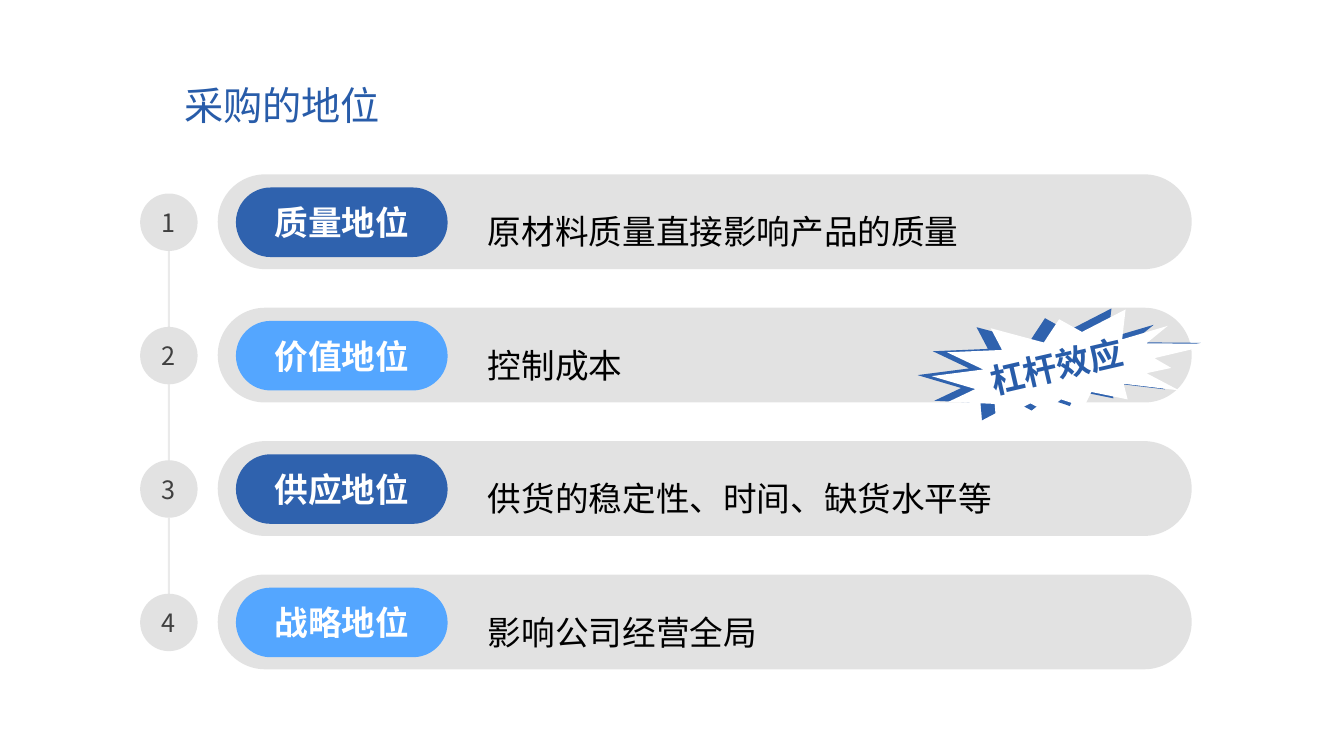
from dataclasses import dataclass

import pptx
import pptx.dml.color
import pptx.enum.shapes
import pptx.enum.text
import pptx.oxml.ns
import pptx.util
from lxml import etree

Inches = pptx.util.Inches
Shapes = pptx.enum.shapes.MSO_SHAPE
Align = pptx.enum.text.PP_ALIGN
qualified = pptx.oxml.ns.qn


@dataclass(frozen=True)
class Theme:
    font: str = "Noto Sans CJK JP"
    title_font: str = "Noto Sans CJK SC"
    accent: str = "285CA9"
    dark_blue: str = "2F62AE"
    light_blue: str = "54A6FF"
    gray: str = "404040"
    line: str = "999999"
    white: str = "FFFFFF"
    black: str = "000000"
    title_size: int = 28
    body_size: int = 24
    number_size: int = 18
    gray_opacity: int = 15
    line_opacity: int = 20


THEME = Theme()
ROWS = [
    ("质量地位", "原材料质量直接影响产品的质量"),
    ("价值地位", "控制成本"),
    ("供应地位", "供货的稳定性、时间、缺货水平等"),
    ("战略地位", "影响公司经营全局"),
]
FIRST_TOP, LAST_TOP = 1.73, 5.7
ROW_PITCH = (LAST_TOP - FIRST_TOP) / (len(ROWS) - 1)
CIRCLE_LEFT, CIRCLE_OFFSET, CIRCLE_SIZE = 1.39, 0.19, 0.57


def paint(fill, color, opacity=100):
    """Apply a solid colour; opacity is a percentage."""
    fill.solid()
    fill.fore_color.rgb = pptx.dml.color.RGBColor.from_string(color)
    if opacity < 100:
        color_element = fill._xPr.find(".//" + qualified("a:srgbClr"))
        alpha = etree.SubElement(color_element, qualified("a:alpha"))
        alpha.set("val", str(opacity * 1000))


def write_text(shape, text, size=THEME.body_size, color=THEME.black, font=THEME.font,
               bold=False, align=None, wrap=True, margin=None, level=0, spacing=None):
    frame = shape.text_frame
    frame.word_wrap = wrap
    frame.vertical_anchor = pptx.enum.text.MSO_ANCHOR.MIDDLE
    if margin is not None:
        frame.margin_left = frame.margin_right = Inches(margin)
        frame.margin_top = frame.margin_bottom = Inches(margin)
    paragraph = frame.paragraphs[0]
    paragraph.alignment = align
    if level:
        paragraph.level = level
        paragraph._p.get_or_add_pPr().set("marL", "0")
    if spacing:
        paragraph.line_spacing = spacing
    run = paragraph.add_run()
    run.text = text
    run.font.name = font
    run.font.size = pptx.util.Pt(size)
    run.font.bold = bold
    run.font.color.rgb = pptx.dml.color.RGBColor.from_string(color)
    east_asian = etree.SubElement(run._r.get_or_add_rPr(), qualified("a:ea"))
    east_asian.set("typeface", font)


class SlideBuilder:
    def __init__(self, slide, theme):
        self.slide = slide
        self.theme = theme

    def shape(self, kind, box, color, opacity=100, parent=None):
        shapes = (parent or self.slide).shapes
        shape = shapes.add_shape(kind, *map(Inches, box))
        shape.shadow.inherit = False
        shape.line.fill.background()
        paint(shape.fill, color, opacity)
        if kind == Shapes.ROUNDED_RECTANGLE:
            shape.adjustments[0] = 0.5
        return shape

    def text(self, box, text, parent=None, **text_format):
        shape = (parent or self.slide).shapes.add_textbox(*map(Inches, box))
        write_text(shape, text, **text_format)
        return shape

    def vertical_line(self, x, top, bottom):
        connector = self.slide.shapes.add_connector(
            pptx.enum.shapes.MSO_CONNECTOR.STRAIGHT,
            Inches(x), Inches(top), Inches(x), Inches(bottom))
        connector.line.width = pptx.util.Pt(1.5)
        paint(connector.line.fill, self.theme.line, self.theme.line_opacity)
        etree.SubElement(connector._element.spPr, qualified("a:effectLst"))

    def row(self, number, top, label, description):
        theme = self.theme
        pill_color = theme.dark_blue if number % 2 else theme.light_blue
        self.shape(Shapes.ROUNDED_RECTANGLE, (2.16, top, 9.66, 0.94),
                   theme.gray, theme.gray_opacity)
        pill = self.shape(Shapes.ROUNDED_RECTANGLE, (2.34, top + 0.13, 2.1, 0.69), pill_color)
        write_text(pill, label, color=theme.white, bold=True, align=Align.CENTER, margin=0)
        self.text((4.84, top + 0.04, 6.27, 0.85), description,
                  margin=0, level=1, spacing=1.5)
        circle = self.shape(Shapes.OVAL,
                            (CIRCLE_LEFT, top + CIRCLE_OFFSET, CIRCLE_SIZE, CIRCLE_SIZE),
                            theme.gray, theme.gray_opacity)
        write_text(circle, str(number), size=theme.number_size, color=theme.gray,
                   align=Align.CENTER, wrap=False)

    def burst(self, text):
        """Group two offset seals under a tilted caption."""
        group = self.slide.shapes.add_group_shape()
        self.shape(Shapes.EXPLOSION2, (9.1, 3.06, 2.81, 1.11), self.theme.dark_blue, parent=group)
        self.shape(Shapes.EXPLOSION2, (9.24, 3.07, 2.81, 1.11), self.theme.white, parent=group)
        caption = self.text((9.26, 3.38, 2.44, 0.5), text, parent=group,
                            color=self.theme.accent, bold=True, align=Align.CENTER)
        caption.rotation = 347
        caption.text_frame.auto_size = pptx.enum.text.MSO_AUTO_SIZE.SHAPE_TO_FIT_TEXT


def main():
    presentation = pptx.Presentation()
    presentation.slide_width = Inches(13.33)
    presentation.slide_height = Inches(7.5)
    slide = presentation.slides.add_slide(presentation.slide_layouts[6])
    paint(slide.background.fill, THEME.white)
    builder = SlideBuilder(slide, THEME)

    builder.text((1.73, 0.72, 4.68, 0.64), "采购的地位", size=THEME.title_size,
                 color=THEME.accent, font=THEME.title_font)
    for index, (label, description) in enumerate(ROWS):
        top = FIRST_TOP + index * ROW_PITCH
        builder.row(index + 1, top, label, description)
        if index < len(ROWS) - 1:
            circle_top = top + CIRCLE_OFFSET
            builder.vertical_line(CIRCLE_LEFT + CIRCLE_SIZE / 2,
                                  circle_top + CIRCLE_SIZE, circle_top + ROW_PITCH)
    builder.burst("杠杆效应")
    presentation.save("out.pptx")


if __name__ == "__main__":
    main()
